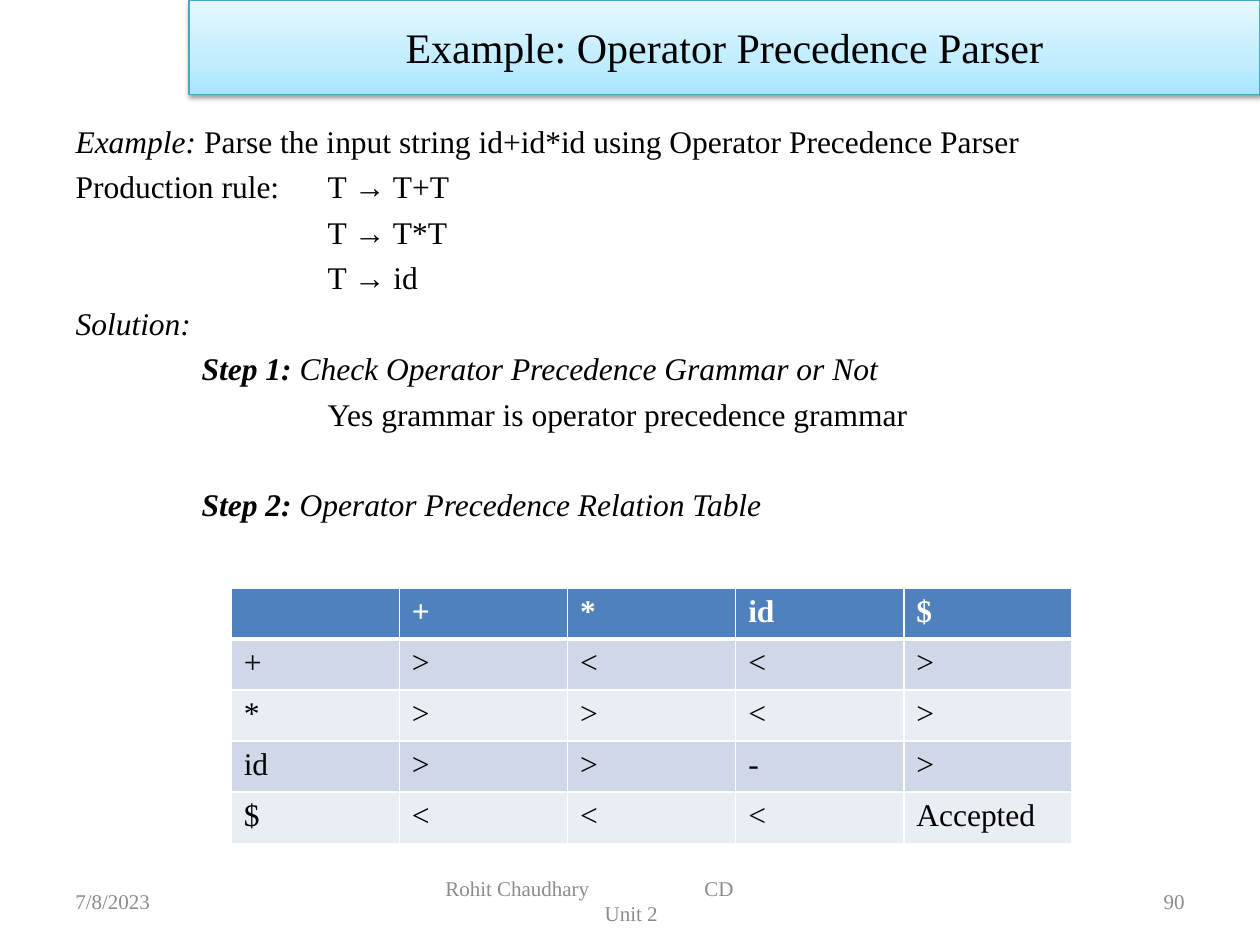
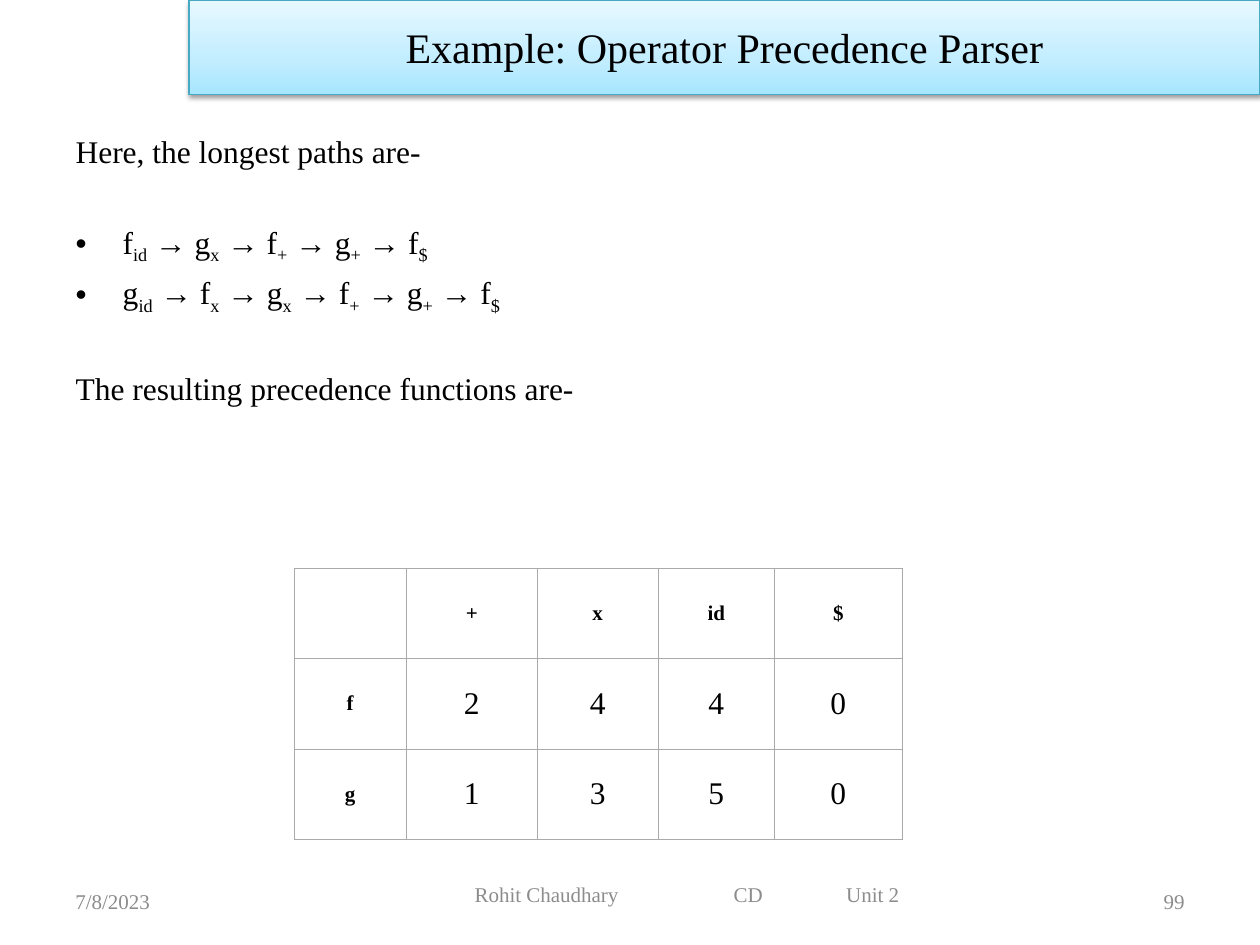
from dataclasses import dataclass

from lxml import etree
from pptx import Presentation
from pptx.dml.color import RGBColor
from pptx.enum import text as tx
from pptx.oxml.ns import qn
from pptx.util import Cm, Pt

FACE = "Times New Roman"
BLACK = RGBColor(0x00, 0x00, 0x00)
WHITE = RGBColor(0xFF, 0xFF, 0xFF)
GREY = RGBColor(0x8C, 0x8C, 0x8C)
BLUE = RGBColor(0x4F, 0x81, 0xBD)
DARK = RGBColor(0xD0, 0xD8, 0xE8)
PALE = RGBColor(0xE9, 0xED, 0xF4)
EDGE = RGBColor(0xAA, 0xAA, 0xAA)
TEAL = RGBColor(0x46, 0xAA, 0xC5)
SKY = ((0, RGBColor(0xA7, 0xE6, 0xFF)),
       (35, RGBColor(0xC1, 0xED, 0xFF)),
       (100, RGBColor(0xE7, 0xF8, 0xFF)))

GAP, SKIP = 4.4, 30  # points before a line, and before a new block
LEFT, MID, RIGHT = tx.PP_ALIGN.LEFT, tx.PP_ALIGN.CENTER, tx.PP_ALIGN.RIGHT
Box = tuple[float, float, float, float]  # left, top, width, height in cm


@dataclass
class Run:
    text: str
    bold: bool = False
    ital: bool = False
    sub: bool = False


@dataclass
class Line:
    runs: list[Run]
    gap: float = GAP
    left: float = 0
    dot: bool = False


@dataclass
class Foot:
    box: Box
    lines: tuple[str, ...]
    inset: float
    page: str


@dataclass
class Grid:
    spot: tuple[float, float]
    cols: list[float]
    high: float
    rows: list[list[str]]
    fills: list[RGBColor]
    edge: RGBColor
    width: float
    rule: float              # line width under the first row
    head: RGBColor           # text colour of the first row
    size: int                # text size of bold cells
    side: bool = False       # first column is bold too
    form: dict | None = None
    align: tx.PP_ALIGN = LEFT


# Helpers
def apply(item: object, form: dict) -> None:
    for key, val in form.items():
        setattr(item, key, val)


def node(up, tag: str, **attrs):
    return etree.SubElement(up, qn(tag), {k: str(v) for k, v in attrs.items()})


def style(run, size: float, color: RGBColor = BLACK, **more) -> None:
    apply(run.font, {"name": FACE, "size": Pt(size), **more})
    run.font.color.rgb = color


def place(shape, box: Box) -> None:
    keys = ("left", "top", "width", "height")
    apply(shape, {k: Cm(v) for k, v in zip(keys, box)})


# Title band
def band(shape, title: str) -> None:
    place(shape, (3.81, 0, 21.59, 1.9))
    shape.fill.gradient()
    shape.fill.gradient_angle = 90
    props = shape._element.spPr
    stops = props.find(".//" + qn("a:gsLst"))
    for old in list(stops):
        stops.remove(old)
    for pos, color in SKY:
        node(node(stops, "a:gs", pos=pos * 1000), "a:srgbClr", val=color)
    shape.line.color.rgb = TEAL
    shape.line.width = Pt(0.75)
    cast = node(node(props, "a:effectLst"), "a:outerShdw", blurRad=Pt(3.1),
                dist=Pt(1.6), dir=5400000, rotWithShape=0)
    node(node(cast, "a:srgbClr", val="000000"), "a:alpha", val=38000)
    shape.text_frame.text = title
    style(shape.text_frame.paragraphs[0].runs[0], 24)


# Body text
def fill(shape, box: Box, lines: list[Line]) -> None:
    place(shape, box)
    frame = shape.text_frame
    frame.auto_size = tx.MSO_AUTO_SIZE.NONE
    for i, line in enumerate(lines):
        para = frame.add_paragraph() if i else frame.paragraphs[0]
        para.space_before = Pt(line.gap if i else 0)
        props = para._p.get_or_add_pPr()
        left = Cm(line.left)
        props.set("marL", str(left))
        props.set("indent", str(-left if line.dot else 0))
        if line.dot:
            node(props, "a:buFont", typeface="Arial")
            node(props, "a:buChar", char="•")
        else:
            node(props, "a:buNone")
        for part in line.runs:
            run = para.add_run()
            run.text = part.text
            style(run, 18, bold=part.bold, italic=part.ital)
            if part.sub:
                run._r.get_or_add_rPr().set("baseline", "-25000")


def chain(names: str, gap: float) -> Line:
    """Bulleted path such as f_id → g_x, from names like 'fid gx'."""
    runs = []
    for i, name in enumerate(names.split()):
        runs += [Run((" → " if i else "") + name[0]), Run(name[1:], sub=True)]
    return Line(runs, gap, 0.95, dot=True)


def step(num: int, text: str, gap: float = GAP) -> Line:
    return Line([Run(f"Step {num}: ", bold=True, ital=True),
                 Run(text, ital=True)], gap, 2.54)


# Footers
def note(slide, box: Box, lines: tuple[str, ...], align: tx.PP_ALIGN,
         inset: float = 0.25) -> None:
    frame = slide.shapes.add_textbox(*map(Cm, box)).text_frame
    apply(frame, {"word_wrap": True, "margin_left": Cm(inset),
                  "vertical_anchor": tx.MSO_ANCHOR.MIDDLE})
    for i, line in enumerate(lines):
        para = frame.add_paragraph() if i else frame.paragraphs[0]
        para.alignment = align
        if "\t" in line:
            para.alignment = LEFT
            tabs = node(para._p.get_or_add_pPr(), "a:tabLst")
            for stop in (5.22, 7.49):
                node(tabs, "a:tab", pos=Cm(stop), algn="l")
        run = para.add_run()
        run.text = line
        style(run, 12, GREY)


def foot(slide, info: Foot) -> None:
    note(slide, (1.27, 17.65, 5.93, 1.02), ("7/8/2023",), LEFT)
    note(slide, info.box, info.lines, MID, info.inset)
    note(slide, (18.2, 17.65, 5.93, 1.02), (info.page,), RIGHT)


# Tables
def border(cell, color: RGBColor, top: float, low: float, side: float) -> None:
    props = cell._tc.get_or_add_tcPr()
    sides = {"a:lnL": side, "a:lnR": side, "a:lnT": top, "a:lnB": low}
    for tag, width in sides.items():
        line = node(props, tag, w=Pt(width))
        node(node(line, "a:solidFill"), "a:srgbClr", val=color)


def draw(slide, grid: Grid) -> None:
    count = len(grid.rows)
    table = slide.shapes.add_table(
        count, len(grid.cols), *map(Cm, grid.spot),
        Cm(sum(grid.cols)), Cm(grid.high * count)).table
    apply(table, {"first_row": False, "horz_banding": False})
    for col, width in zip(table.columns, grid.cols):
        col.width = Cm(width)
    for r, words in enumerate(grid.rows):
        table.rows[r].height = Cm(grid.high)
        for c, word in enumerate(words):
            cell = table.cell(r, c)
            border(cell, grid.edge, grid.rule if r == 1 else grid.width,
                   grid.rule if r == 0 else grid.width, grid.width)
            cell.fill.solid()
            cell.fill.fore_color.rgb = grid.fills[r]
            apply(cell, grid.form or {})
            if not word:
                continue
            para = cell.text_frame.paragraphs[0]
            para.alignment = grid.align
            run = para.add_run()
            run.text = word
            bold = r == 0 or (grid.side and c == 0)
            style(run, grid.size if bold else 18,
                  BLACK if r else grid.head, bold=bold)


# Content
RULES = [
    Line([Run("Example: ", ital=True),
          Run("Parse the input string id+id*id using "
              "Operator Precedence Parser")]),
    Line([Run("Production rule:\tT → T+T")]),
    Line([Run("T → T*T")], left=5.08),
    Line([Run("T → id")], left=5.08),
    Line([Run("Solution:", ital=True)]),
    step(1, "Check Operator Precedence Grammar or Not"),
    Line([Run("Yes grammar is operator precedence grammar")], left=5.08),
    step(2, "Operator Precedence Relation Table", SKIP),
]
PATHS = [
    Line([Run("Here, the longest paths are-")]),
    chain("fid gx f+ g+ f$", SKIP),
    chain("gid fx gx f+ g+ f$", GAP),
    Line([Run("The resulting precedence functions are-")], SKIP),
]
ORDER = Grid(
    (4.66, 11.85), [3.39] * 5, 1.03,
    [["", "+", "*", "id", "$"],
     ["+", ">", "<", "<", ">"],
     ["*", ">", ">", "<", ">"],
     ["id", ">", ">", "-", ">"],
     ["$", "<", "<", "<", "Accepted"]],
    [BLUE, DARK, PALE, DARK, PALE], WHITE, 1, 3, WHITE, 18)
RANKS = Grid(
    (5.93, 11.46), [2.26, 2.64, 2.44, 2.34, 2.58], 1.82,
    [["", "+", "x", "id", "$"],
     ["f", "2", "4", "4", "0"],
     ["g", "1", "3", "5", "0"]],
    [WHITE] * 3, EDGE, 0.5, 0.5, BLACK, 12, side=True, align=MID,
    form={"vertical_anchor": tx.MSO_ANCHOR.MIDDLE,
          "margin_left": Cm(0.18), "margin_right": Cm(0.18),
          "margin_top": Cm(0.15), "margin_bottom": Cm(0.15)})
PAGES = [
    ((1.27, 2.33, 22.86, 12.57), RULES, ORDER,
     Foot((8.68, 17.65, 8.04, 1.02),
          ("Rohit Chaudhary\tCD", "Unit 2"), 0.3, "90")),
    ((1.27, 2.54, 22.5, 14.76), PATHS, RANKS,
     Foot((8.68, 17.65, 10.36, 0.76),
          ("Rohit Chaudhary\tCD\tUnit 2",), 0.89, "99")),
]


def main() -> None:
    deck = Presentation()
    apply(deck, {"slide_width": Cm(25.4), "slide_height": Cm(19.05)})
    for box, lines, grid, info in PAGES:
        slide = deck.slides.add_slide(deck.slide_layouts[1])
        foot(slide, info)
        band(slide.shapes.title, "Example: Operator Precedence Parser")
        fill(slide.placeholders[1], box, lines)
        draw(slide, grid)
    deck.save("out.pptx")


if __name__ == "__main__":
    main()
